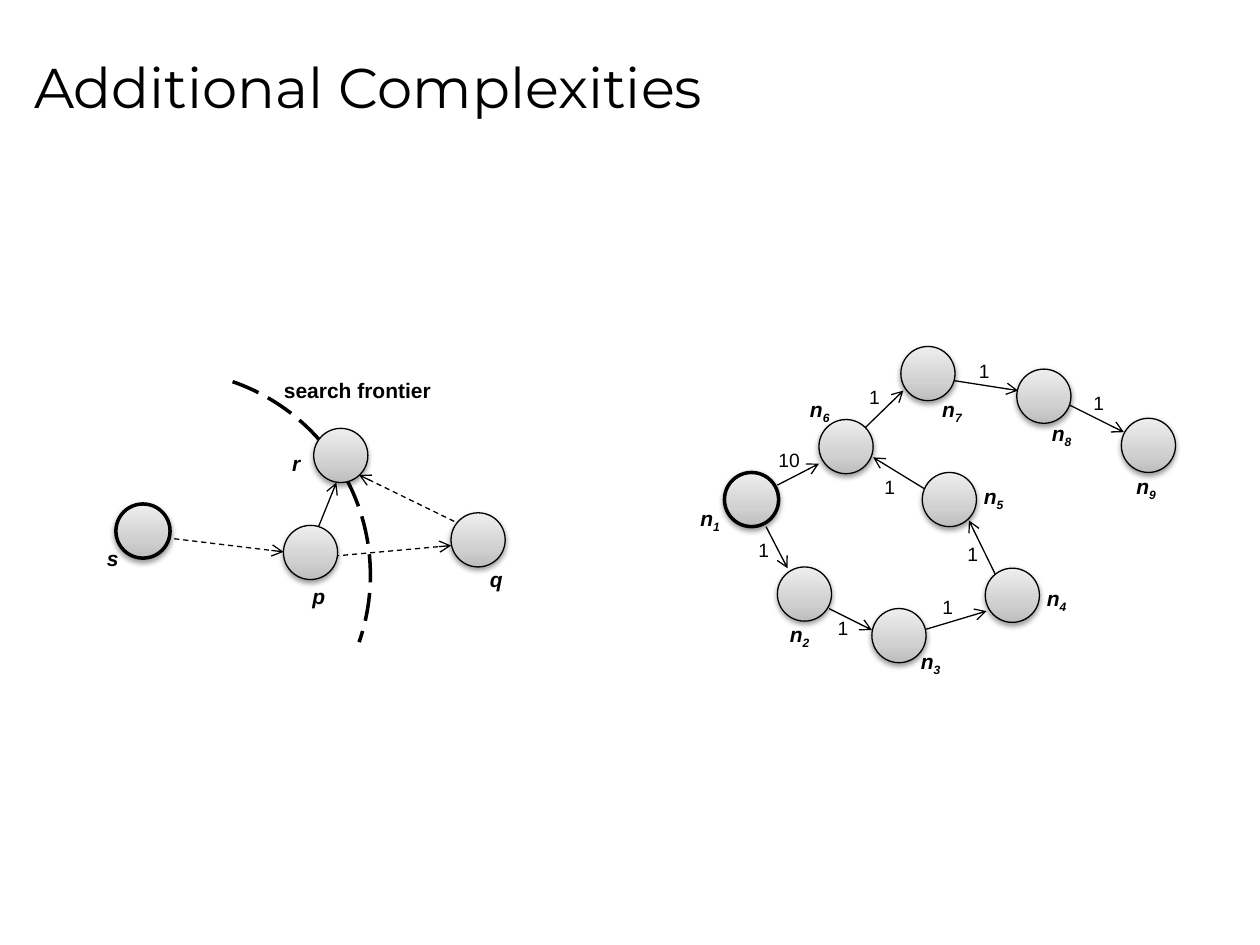
from dataclasses import dataclass

from pptx import Presentation
from pptx.dml.color import RGBColor
from pptx.enum.dml import MSO_LINE
from pptx.enum.shapes import MSO_CONNECTOR, MSO_SHAPE
from pptx.enum.text import MSO_ANCHOR, MSO_AUTO_SIZE, PP_ALIGN
from pptx.oxml import parse_xml
from pptx.oxml.ns import nsdecls, qn
from pptx.util import Inches, Pt

STRAIGHT = MSO_CONNECTOR.STRAIGHT
OVAL, ARC = MSO_SHAPE.OVAL, MSO_SHAPE.ARC
DASH, LONG_DASH = MSO_LINE.DASH, MSO_LINE.LONG_DASH
MIDDLE, LEFT = MSO_ANCHOR.MIDDLE, PP_ALIGN.LEFT
NO_FIT, GROW = MSO_AUTO_SIZE.NONE, MSO_AUTO_SIZE.SHAPE_TO_FIT_TEXT


@dataclass(frozen=True)
class Theme:
    """Colours, fonts, type sizes and line widths of the slide."""
    ink: str = "000000"
    gradient: tuple = ((0, "BDBDBD"), (35, "D1D1D1"), (100, "EEEEEE"))
    title_font: str = "Montserrat"
    body_font: str = "Arial"
    title_size: float = 32
    label_size: float = 12
    weight_size: float = 11
    thin: float = 0.75
    thick: float = 2


@dataclass(frozen=True)
class Box:
    """A region with its corner in inches and square grid cells."""
    left: float
    top: float
    cell: float = 0.1

    def x(self, column):
        """Return the horizontal place of a grid column."""
        return Inches(self.left + column * self.cell)

    def y(self, row):
        """Return the vertical place of a grid row."""
        return Inches(self.top + row * self.cell)

    def span(self, cells):
        """Return the length of a number of cells."""
        return Inches(cells * self.cell)


@dataclass(frozen=True)
class Node:
    """A circle by its corner and its label by its centre."""
    name: str
    corner: tuple
    label: tuple
    subscript: str = ""
    is_start: bool = False


@dataclass(frozen=True)
class Edge:
    """An arrow with an optional weight by its centre."""
    start: tuple
    end: tuple
    weight: str = ""
    label: tuple = ()
    dash: object = None


THEME = Theme()
NODE_CELLS = 4.3

FRONTIER_NODES = (
    Node("s", (4.2, 15), (3.95, 19.3), is_start=True),
    Node("r", (19.9, 9), (18.65, 11.8)),
    Node("p", (17.5, 16.7), (20.25, 22.3)),
    Node("q", (30.8, 15.7), (34.35, 21)),
)
FRONTIER_EDGES = (
    Edge((6.7, 17.5), (17.5, 18.8), dash=DASH),
    Edge((20.8, 19.2), (30.8, 18.3), dash=DASH),
    Edge((31.7, 16.7), (23.5, 12.7), dash=DASH),
    Edge((20, 17.5), (21.7, 13.3)),
)
WEIGHTED_NODES = (
    Node("n", (3.5, 10.5), (2.45, 14.1), "1", True),
    Node("n", (7.7, 18), (9.55, 23.3), "2"),
    Node("n", (15.2, 21.3), (19.95, 25.5), "3"),
    Node("n", (24.2, 18.1), (29.95, 20.5), "4"),
    Node("n", (19.2, 10.5), (24.95, 12.4), "5"),
    Node("n", (11, 6.3), (11.15, 5.5), "6"),
    Node("n", (17.5, 0.5), (21.65, 5.5), "7"),
    Node("n", (26.7, 2.3), (30.35, 7.4), "8"),
    Node("n", (35, 6.2), (37.05, 11.6), "9"),
)
WEIGHTED_EDGES = (
    Edge((6.8, 14.8), (8.5, 18.1), "1", (6.65, 16.75)),
    Edge((11.8, 21.3), (15.2, 23), "1", (12.95, 22.95)),
    Edge((19.3, 23), (24.3, 21.5), "1", (21.25, 21.25)),
    Edge((25.2, 19), (22.9, 14.3), "1", (23.25, 17.05)),
    Edge((20.2, 12.3), (15.3, 9.3), "1", (16.65, 11.75)),
    Edge((7.7, 11.5), (11, 9.8), "10", (8.65, 9.55)),
    Edge((14.3, 7.3), (17.7, 4), "1", (15.45, 4.55)),
    Edge((21, 3.1), (26.8, 4), "1", (24.15, 2.55)),
    Edge((30.2, 4.8), (35.2, 7.3), "1", (33.25, 5.05)),
)


def add_text(paragraph, text, font=THEME.body_font, size=THEME.label_size,
             bold=None, italic=None, baseline=None):
    """Add a formatted run to a paragraph."""
    run = paragraph.add_run()
    run.text = text
    run.font.name, run.font.size = font, Pt(size)
    run.font.bold, run.font.italic = bold, italic
    run.font.color.rgb = RGBColor.from_string(THEME.ink)
    if baseline is not None:
        run.font._element.set("baseline", str(baseline * 1000))


def add_label(shapes, box, centre, text, subscript="", **text_format):
    """Centre a growing text box on a grid point."""
    width, height = 2.1 + 0.8 * len(text + subscript), 3
    column, row = centre
    label = shapes.add_textbox(box.x(column - width / 2), box.y(row - height / 2),
                               box.span(width), box.span(height))
    frame = label.text_frame
    frame.word_wrap, frame.auto_size = False, GROW
    add_text(frame.paragraphs[0], text, **text_format)
    if subscript:
        add_text(frame.paragraphs[0], subscript, baseline=-25, **text_format)


def format_line(shape, width, dash=None):
    """Give a shape or connector its line."""
    shape.line.color.rgb = RGBColor.from_string(THEME.ink)
    shape.line.width = Pt(width)
    if dash is not None:
        shape.line.dash_style = dash


def add_edge(shapes, box, edge):
    """Draw an arrow between two grid points."""
    (start_column, start_row), (end_column, end_row) = edge.start, edge.end
    connector = shapes.add_connector(STRAIGHT, box.x(start_column), box.y(start_row),
                                     box.x(end_column), box.y(end_row))
    format_line(connector, THEME.thin, edge.dash)
    properties = connector._element.spPr
    properties.find(qn("a:ln")).append(
        parse_xml(f'<a:tailEnd {nsdecls("a")} type="arrow"/>'))
    properties.append(parse_xml(f'<a:effectLst {nsdecls("a")}/>'))


def add_node(shapes, box, node):
    """Draw a shaded circle with a soft shadow."""
    column, row = node.corner
    circle = shapes.add_shape(OVAL, box.x(column), box.y(row),
                              box.span(NODE_CELLS), box.span(NODE_CELLS))
    circle.fill.gradient()
    circle.fill.gradient_angle = 90
    properties = circle._element.spPr
    stops = properties.find(qn("a:gradFill")).find(qn("a:gsLst"))
    for stop in list(stops):
        stops.remove(stop)
    for position, colour in THEME.gradient:
        stops.append(parse_xml(f'<a:gs {nsdecls("a")} pos="{position * 1000}">'
                               f'<a:srgbClr val="{colour}"/></a:gs>'))
    format_line(circle, THEME.thick if node.is_start else THEME.thin)
    properties.append(parse_xml(
        f'<a:effectLst {nsdecls("a")}><a:outerShdw blurRad="{Pt(3.1)}" dist="{Pt(1.6)}" '
        f'dir="5400000" rotWithShape="0"><a:srgbClr val="{THEME.ink}">'
        '<a:alpha val="38000"/></a:srgbClr></a:outerShdw></a:effectLst>'))


def add_graph(shapes, box, nodes, edges):
    """Draw edges, then circles, then all labels."""
    for edge in edges:
        add_edge(shapes, box, edge)
    for node in nodes:
        add_node(shapes, box, node)
    for node in nodes:
        add_label(shapes, box, node.label, node.name, node.subscript, bold=True, italic=True)
    for edge in edges:
        if edge.weight:
            add_label(shapes, box, edge.label, edge.weight, size=THEME.weight_size)


def add_frontier_graph(slide, box):
    """Draw the search frontier and the graph it crosses."""
    arc = slide.shapes.add_shape(ARC, box.x(-8.1), box.y(4.4), box.span(32.5), box.span(32.5))
    arc.rotation = 19.1
    arc.shadow.inherit = False
    arc.fill.background()
    format_line(arc, THEME.thick, LONG_DASH)
    add_graph(slide.shapes, box, FRONTIER_NODES, FRONTIER_EDGES)
    add_label(slide.shapes, box, (23.6, 6), "search frontier", bold=True)


def add_weighted_graph(slide, box):
    """Draw the weighted graph as one group."""
    add_graph(slide.shapes.add_group_shape().shapes, box, WEIGHTED_NODES, WEIGHTED_EDGES)


def add_title(slide, box):
    """Place and fill the title placeholder."""
    title = slide.shapes.title
    title.left, title.top = box.x(0), box.y(0)
    title.width, title.height = box.span(95), box.span(11.2)
    frame = title.text_frame
    frame.vertical_anchor, frame.auto_size = MIDDLE, NO_FIT
    frame.paragraphs[0].alignment = LEFT
    add_text(frame.paragraphs[0], "Additional Complexities",
             font=THEME.title_font, size=THEME.title_size)


def main():
    """Build and save the presentation."""
    presentation = Presentation()
    presentation.slide_width, presentation.slide_height = Inches(10), Inches(7.5)
    slide = presentation.slides.add_slide(presentation.slide_layouts[5])
    add_title(slide, Box(0.17, 0.12))
    add_frontier_graph(slide, Box(0.5, 2.5))
    add_weighted_graph(slide, Box(5.4, 2.7))
    presentation.save("out.pptx")


if __name__ == "__main__":
    main()
